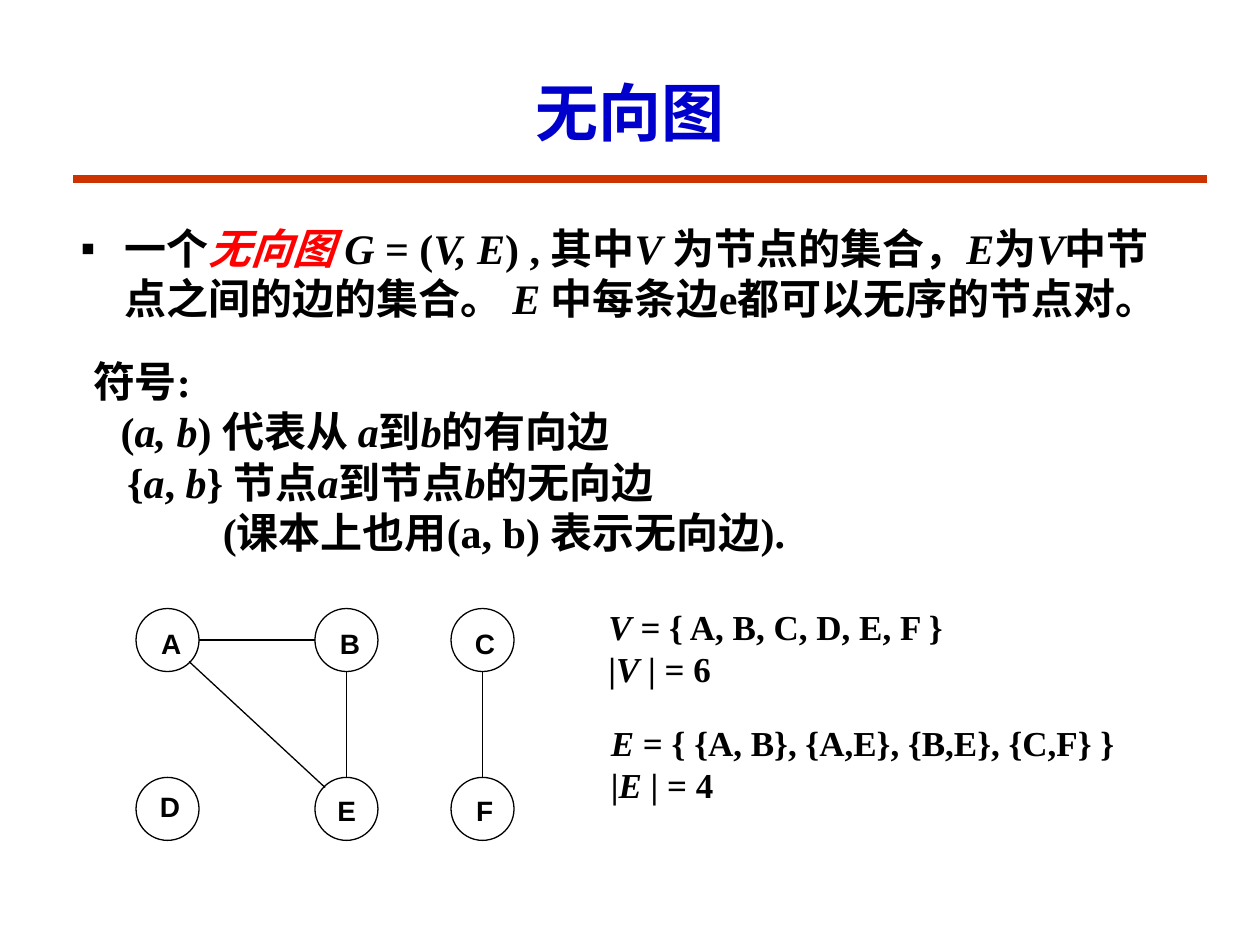
from lxml import etree
from pptx import Presentation
from pptx.dml.color import RGBColor
from pptx.enum.shapes import MSO_CONNECTOR, MSO_SHAPE
from pptx.enum.text import MSO_ANCHOR, MSO_AUTO_SIZE, PP_ALIGN
from pptx.oxml.ns import qn
from pptx.util import Inches, Pt

STRAIGHT = MSO_CONNECTOR.STRAIGHT
OVAL = MSO_SHAPE.OVAL
MIDDLE, TOP = MSO_ANCHOR.MIDDLE, MSO_ANCHOR.TOP
NO_FIT = MSO_AUTO_SIZE.NONE
LEFT, CENTER = PP_ALIGN.LEFT, PP_ALIGN.CENTER

SERIF, SANS = "Times New Roman", "Arial"
BLACK, RED, BLUE, RUST = "000000", "FF0000", "0000CC", "CC3300"
NODE_SIZE = 0.5


def rgb(value):
    return RGBColor.from_string(value)


class SlideBuilder:
    """Hold the style and the current slide, and add each kind of element."""

    def __init__(self, slide):
        self.slide = slide

    def fill_frame(self, frame, lines, size, font=SERIF, color=BLACK,
                   anchor=TOP, align=LEFT, indents=None):
        """Fill a frame; parts between asterisks become italic."""
        frame.word_wrap = True
        frame.auto_size = NO_FIT
        frame.vertical_anchor = anchor
        for index, line in enumerate(lines):
            paragraph = frame.paragraphs[0] if index == 0 else frame.add_paragraph()
            paragraph.alignment = align
            paragraph.space_before = Pt(0)
            if indents:
                paragraph._p.get_or_add_pPr().set("marL", str(Inches(indents[index])))
            for part, text in enumerate(line.split("*")):
                if text:
                    run = paragraph.add_run()
                    run.text = text
                    run.font.name = font
                    run.font.size = Pt(size)
                    run.font.bold = True
                    run.font.italic = part % 2 == 1
                    run.font.color.rgb = rgb(color)

    def placeholder(self, index, box, lines, size, **style):
        holder = self.slide.placeholders[index]
        holder.left, holder.top, holder.width, holder.height = map(Inches, box)
        self.fill_frame(holder.text_frame, lines, size, **style)
        return holder.text_frame

    def bullet(self, paragraph, mark, hanging):
        properties = paragraph._p.get_or_add_pPr()
        properties.set("marL", str(Inches(hanging)))
        properties.set("indent", str(-Inches(hanging)))
        etree.SubElement(properties, qn("a:buChar")).set("char", mark)

    def text(self, box, lines, size, **style):
        frame = self.slide.shapes.add_textbox(*map(Inches, box)).text_frame
        self.fill_frame(frame, lines, size, **style)

    def line(self, start, end, color=BLACK, width=0.75):
        connector = self.slide.shapes.add_connector(
            STRAIGHT, *map(Inches, (*start, *end)))
        connector.line.color.rgb = rgb(color)
        connector.line.width = Pt(width)
        etree.SubElement(connector._element.spPr, qn("a:effectLst"))

    def node(self, left, top):
        circle = self.slide.shapes.add_shape(
            OVAL, *map(Inches, (left, top, NODE_SIZE, NODE_SIZE)))
        circle.shadow.inherit = False
        circle.fill.background()
        circle.line.color.rgb = rgb(BLACK)
        circle.line.width = Pt(0.75)


def main():
    presentation = Presentation()
    presentation.slide_width, presentation.slide_height = Inches(10), Inches(7.5)
    slide = presentation.slides.add_slide(presentation.slide_layouts[1])
    builder = SlideBuilder(slide)

    builder.line((0.58, 1.42), (9.58, 1.42), RUST, 4.5)
    builder.placeholder(0, (0.75, 0.42, 8.5, 0.92), ["无向图"], 36,
                        color=BLUE, anchor=MIDDLE, align=CENTER)
    definition = builder.placeholder(
        1, (0.54, 1.5, 8.92, 1.33),
        ["一个*无向图 **G* = (*V, E*) , 其中*V *为节点的集合，*E*为*V*"
         "中节点之间的边的集合。 *E *中每条边e都可以无序的节点对。"],
        24, anchor=MIDDLE).paragraphs[0]
    builder.bullet(definition, "▪", 0.35)
    definition.runs[1].font.color.rgb = rgb(RED)
    definition.runs[1].font.italic = True

    builder.text(
        (0.42, 2.83, 9.17, 1.58),
        ["符号:", "(*a, b*) 代表从 *a*到*b*的有向边",
         "{*a*, *b*} 节点*a*到节点*b*的无向边", "(课本上也用(a, b) 表示无向边)."],
        24, anchor=MIDDLE, indents=(0.22, 0.44, 0.49, 1.25))

    columns, rows = (1.08, 2.5, 3.58), (4.83, 6.17)
    for top in rows:
        for left in columns:
            builder.node(left, top)
    labels = {"A": (1.18, 4.92), "B": (2.6, 4.92), "C": (3.67, 4.92),
              "D": (1.17, 6.22), "E": (2.58, 6.25), "F": (3.68, 6.25)}
    for name, corner in labels.items():
        builder.text((*corner, 0.36, 0.37), [name], 16, font=SANS)

    radius = NODE_SIZE / 2
    upper, lower = rows
    builder.line((1.5, 5.25), (2.58, 6.25))
    builder.line((columns[0] + NODE_SIZE, upper + radius), (columns[1], upper + radius))
    for left in columns[1:]:
        builder.line((left + radius, lower), (left + radius, upper + NODE_SIZE))

    builder.text((4.73, 4.76, 2.88, 0.77),
                 ["*V* = { A, B, C, D, E, F }", "|*V* | = 6"], 20)
    builder.text((4.75, 5.68, 4.4, 0.77),
                 ["*E* = { {A, B}, {A,E}, {B,E}, {C,F} }", "|*E* | = 4"], 20)
    presentation.save("out.pptx")


if __name__ == "__main__":
    main()
